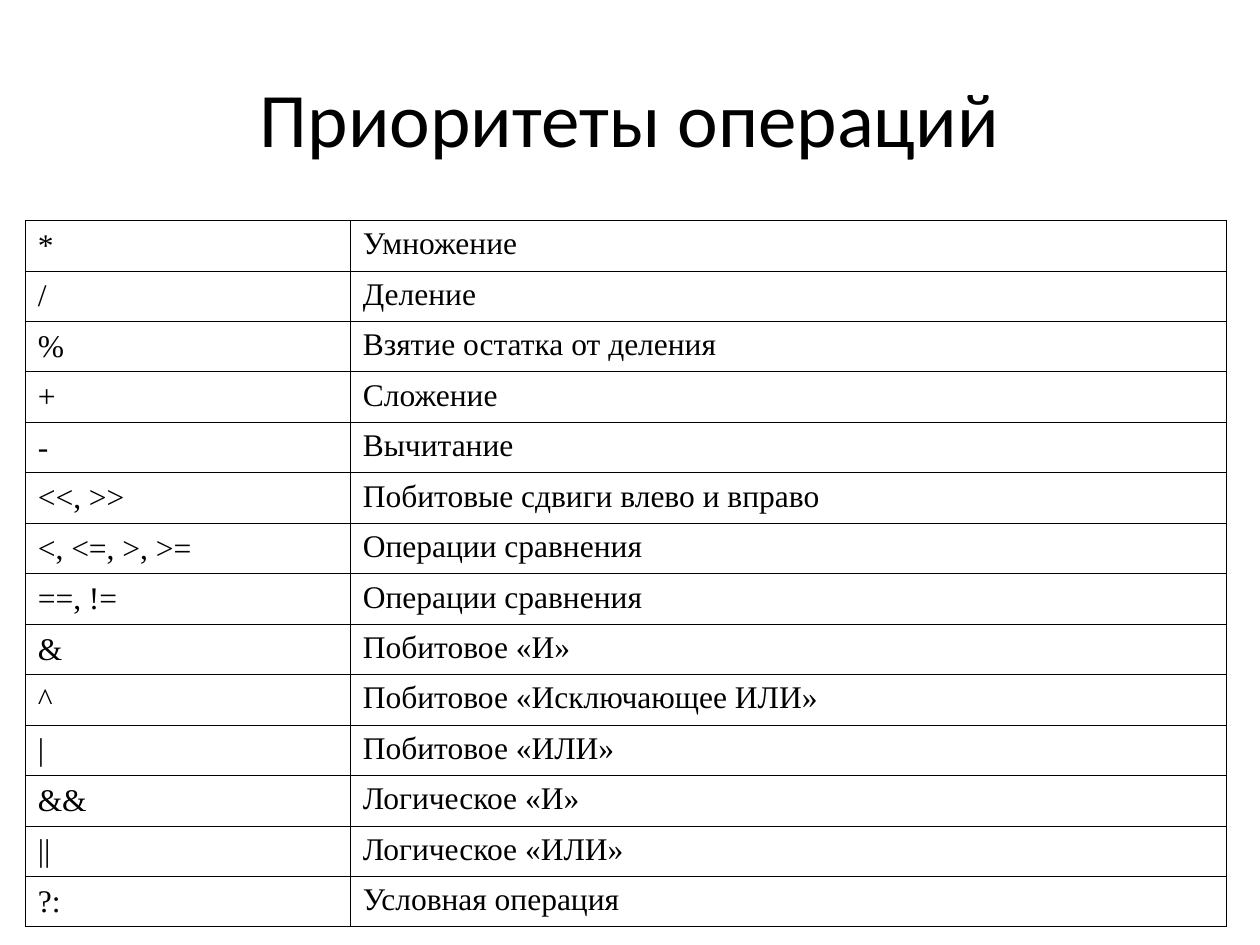
"""Build a slide with a table of operator priorities."""
from lxml.etree import SubElement
from pptx import Presentation
from pptx.dml.color import RGBColor
from pptx.enum.text import MSO_ANCHOR, PP_ALIGN
from pptx.oxml.ns import qn
from pptx.util import Inches, Pt

TITLE = "Приоритеты операций"
OPERATIONS = [
    ("*", "Умножение"),
    ("/", "Деление"),
    ("%", "Взятие остатка от деления"),
    ("+", "Сложение"),
    ("-", "Вычитание"),
    ("<<, >>", "Побитовые сдвиги влево и вправо"),
    ("<, <=, >, >=", "Операции сравнения"),
    ("==, !=", "Операции сравнения"),
    ("&", "Побитовое «И»"),
    ("^", "Побитовое «Исключающее ИЛИ»"),
    ("|", "Побитовое «ИЛИ»"),
    ("&&", "Логическое «И»"),
    ("||", "Логическое «ИЛИ»"),
    ("?:", "Условная операция"),
]
COLUMNS = [
    (2.58, MSO_ANCHOR.MIDDLE, PP_ALIGN.LEFT),
    (6.95, MSO_ANCHOR.TOP, PP_ALIGN.JUSTIFY),
]
ROW_HEIGHT = 0.4
INDENT = Inches(0.38)
BORDER = Pt(0.45)
BLACK = RGBColor(0, 0, 0)


def add_run(p, text, font, size):
    r = p.add_run()
    r.text = text
    r.font.name = font
    r.font.size = Pt(size)
    r.font.color.rgb = BLACK


def set_borders(cell):
    tcPr = cell._tc.get_or_add_tcPr()
    for side in ("L", "R", "T", "B"):
        ln = SubElement(tcPr, qn(f"a:ln{side}"), w=str(BORDER))
        fill = SubElement(ln, qn("a:solidFill"))
        SubElement(fill, qn("a:srgbClr"), val=str(BLACK))


def add_title(s):
    sp = s.shapes.add_textbox(Inches(0.5), Inches(0.3), Inches(9), Inches(1.25))
    tf = sp.text_frame
    tf.word_wrap = True
    tf.vertical_anchor = MSO_ANCHOR.MIDDLE
    p = tf.paragraphs[0]
    p.alignment = PP_ALIGN.CENTER
    add_run(p, TITLE, "Calibri", 44)


def fill_cell(cell, text, anchor, align):
    set_borders(cell)
    cell.fill.background()
    cell.vertical_anchor = anchor
    cell.margin_left = cell.margin_right = Inches(0.1)
    cell.margin_top = cell.margin_bottom = Inches(0.05)
    p = cell.text_frame.paragraphs[0]
    p.alignment = align
    pPr = p._p.get_or_add_pPr()
    pPr.set("marL", str(INDENT))
    pPr.set("indent", str(-INDENT))
    add_run(p, text, "Times New Roman", 18)


def add_operations(s):
    width = sum(w for w, _, _ in COLUMNS)
    height = ROW_HEIGHT * len(OPERATIONS)
    table = s.shapes.add_table(
        len(OPERATIONS), len(COLUMNS),
        Inches(0.2), Inches(1.75), Inches(width), Inches(height),
    ).table
    table.first_row = table.horz_banding = False
    for column, (w, _, _) in zip(table.columns, COLUMNS):
        column.width = Inches(w)
    for row, texts in zip(table.rows, OPERATIONS):
        row.height = Inches(ROW_HEIGHT)
        for cell, text, (_, anchor, align) in zip(row.cells, texts, COLUMNS):
            fill_cell(cell, text, anchor, align)


def main():
    prs = Presentation()
    prs.slide_width, prs.slide_height = Inches(10), Inches(7.5)
    s = prs.slides.add_slide(prs.slide_layouts[6])
    add_title(s)
    add_operations(s)
    prs.save("out.pptx")


if __name__ == "__main__":
    main()
